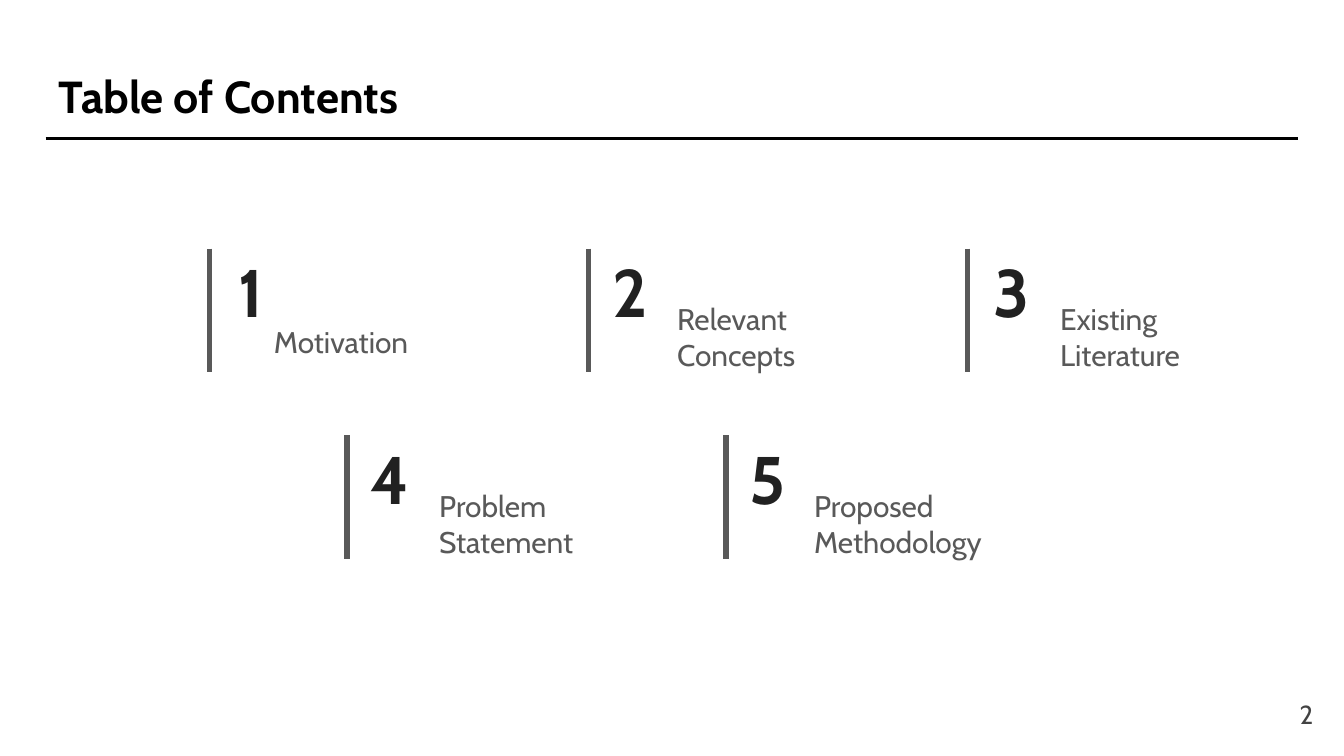
from lxml.etree import SubElement
from pptx import Presentation
from pptx.dml.color import RGBColor
from pptx.enum.shapes import MSO_CONNECTOR
from pptx.enum.text import MSO_ANCHOR, PP_ALIGN
from pptx.oxml.ns import qn
from pptx.util import Inches, Pt

FONT = "Cabin"
BLACK, DARK, GREY, PAGE_GREY = "000000", "212121", "595959", "434343"
TITLE = "Table of Contents"
PAGE_NUMBER = "2"

ROWS = [
    {"left": 1.56, "top": 1.85, "entries": [
        {"label": "Motivation", "number_width": 0.5,
         "offset": 0.38, "width": 1.42, "height": 0.46},
        {"label": "Relevant Concepts", "number_width": 0.5,
         "offset": 0.56, "width": 1.24, "height": 0.63},
        {"label": "Existing Literature", "number_width": 0.53,
         "offset": 0.59, "width": 1.3, "height": 0.63},
    ]},
    {"left": 2.58, "top": 3.24, "entries": [
        {"label": "Problem Statement", "number_width": 0.53,
         "offset": 0.59, "width": 1.3, "height": 0.63},
        {"label": "Proposed Methodology", "number_width": 0.5,
         "offset": 0.56, "width": 1.66, "height": 0.63},
    ]},
]
COLUMN_STEP = 2.82
BAR_HEIGHT = 0.92
NUMBER_GAP = 0.06
NUMBER_HEIGHT = 0.63


def color(value):
    return RGBColor.from_string(value)


def add_line(slide, x1, y1, x2, y2, stroke, width):
    line = slide.shapes.add_connector(
        MSO_CONNECTOR.STRAIGHT, Inches(x1), Inches(y1), Inches(x2), Inches(y2))
    line.line.color.rgb = color(stroke)
    line.line.width = Pt(width)
    SubElement(line._element.spPr, qn("a:effectLst"))


def add_text(slide, text, left, top, width, height, size, fill, bold=False,
             align=PP_ALIGN.LEFT, anchor=MSO_ANCHOR.TOP):
    box = slide.shapes.add_textbox(
        Inches(left), Inches(top), Inches(width), Inches(height))
    frame = box.text_frame
    frame.word_wrap = True
    frame.vertical_anchor = anchor
    frame.margin_left = frame.margin_right = Inches(0.1)
    frame.margin_top = frame.margin_bottom = Inches(0.1)
    frame.text = text
    paragraph = frame.paragraphs[0]
    paragraph.alignment = align
    font = paragraph.runs[0].font
    font.name = FONT
    font.size = Pt(size)
    font.bold = bold
    font.color.rgb = color(fill)


def add_entry(slide, number, bar_x, top, entry):
    bottom = top + BAR_HEIGHT
    add_line(slide, bar_x, top, bar_x, bottom, GREY, 3)
    add_text(slide, str(number), bar_x + NUMBER_GAP, top, entry["number_width"],
             NUMBER_HEIGHT, 36, DARK, True, PP_ALIGN.CENTER, MSO_ANCHOR.MIDDLE)
    add_text(slide, entry["label"], bar_x + entry["offset"],
             bottom - entry["height"], entry["width"], entry["height"], 16, GREY)


def main():
    deck = Presentation()
    deck.slide_width = Inches(10)
    deck.slide_height = deck.slide_width * 9 // 16
    slide = deck.slides.add_slide(deck.slide_layouts[6])

    add_line(slide, 0.34, 1.03, 9.66, 1.03, BLACK, 1.5)
    add_text(slide, TITLE, 0.34, 0.41, 9.32, 0.63, 24, BLACK, True)
    add_text(slide, PAGE_NUMBER, 9.27, 5.1, 0.6, 0.43, 14, PAGE_GREY,
             align=PP_ALIGN.RIGHT, anchor=MSO_ANCHOR.MIDDLE)

    number = 0
    for row in ROWS:
        for column, entry in enumerate(row["entries"]):
            number += 1
            bar_x = row["left"] + column * COLUMN_STEP
            add_entry(slide, number, bar_x, row["top"], entry)

    deck.save("out.pptx")


if __name__ == "__main__":
    main()
